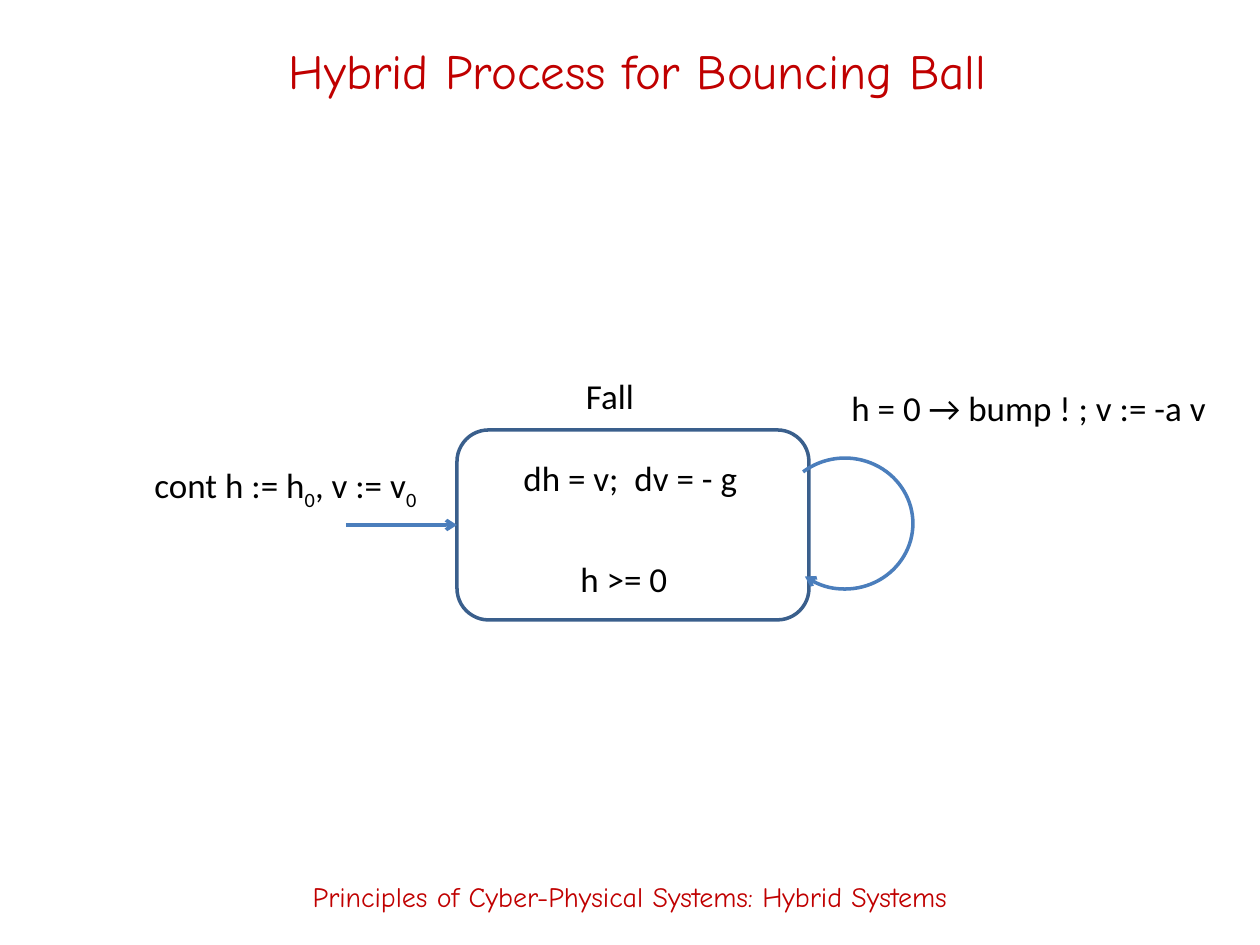
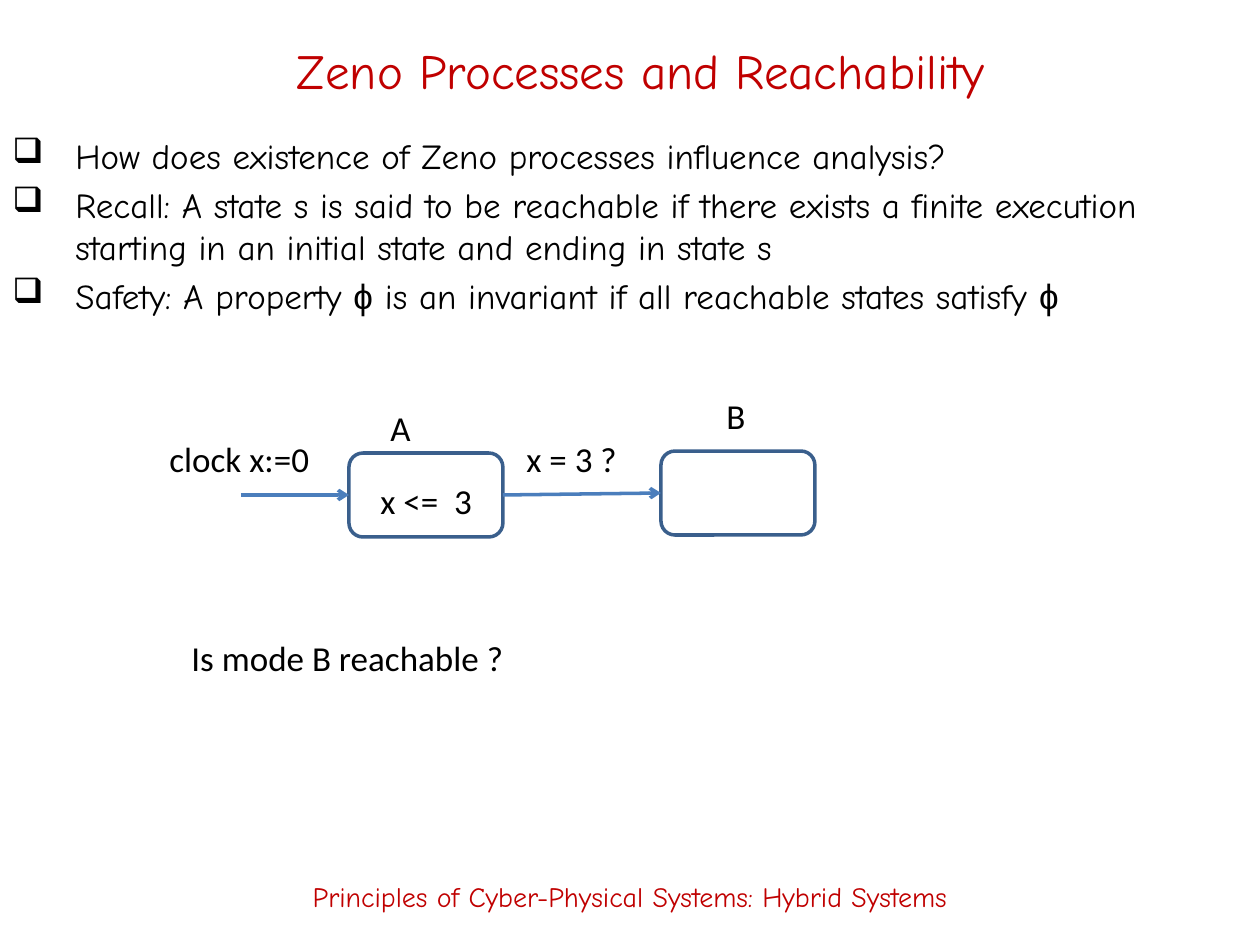
from dataclasses import dataclass

from lxml import etree
from pptx import Presentation
from pptx.dml.color import RGBColor
from pptx.enum.shapes import MSO_CONNECTOR, MSO_SHAPE
from pptx.enum.text import MSO_ANCHOR as Anchor
from pptx.enum.text import MSO_AUTO_SIZE as AutoSize
from pptx.enum.text import PP_ALIGN as Align
from pptx.oxml.ns import qn
from pptx.util import Emu, Pt

PX_PER_INCH = 126
SLIDE_WIDTH, SLIDE_HEIGHT = 1260, 945
FOOTER_TEXT = "Principles of Cyber-Physical Systems: Hybrid Systems"
LEFT_SIDE, RIGHT_SIDE = 1, 3


@dataclass(frozen=True)
class Theme:
    heading: RGBColor = RGBColor(0xC0, 0x00, 0x00)
    ink: RGBColor = RGBColor(0x00, 0x00, 0x00)
    arrow: RGBColor = RGBColor(0x4B, 0x7E, 0xBC)
    mode: RGBColor = RGBColor(0x3A, 0x5F, 0x8C)
    prose_font: str = "Comic Neue"
    label_font: str = "Calibri"
    symbol_font: str = "Arial"
    title_size: Pt = Pt(28)
    text_size: Pt = Pt(20)
    footer_size: Pt = Pt(16)
    line_width: Pt = Pt(2)
    bullet_gap: Pt = Pt(4)


THEME = Theme()
TITLE = {"name": THEME.prose_font, "size": THEME.title_size, "color": THEME.heading}
FOOTER = {**TITLE, "size": THEME.footer_size}
PROSE = {"name": THEME.prose_font, "size": THEME.text_size, "color": THEME.ink}
LABEL = {**PROSE, "name": THEME.label_font}
SYMBOL = {"name": THEME.symbol_font}
SUBSCRIPT = {"baseline": "-25000"}


def px(length):
    return Emu(round(length * 914400 / PX_PER_INCH))


def apply_formats(target, formats):
    for name, value in formats.items():
        setattr(target, name, value)


def add_run(paragraph, text, formats):
    run = paragraph.add_run()
    run.text = text
    for name, value in formats.items():
        if name == "color":
            run.font.color.rgb = value
        elif name == "baseline":
            run._r.get_or_add_rPr().set(name, value)
        else:
            setattr(run.font, name, value)


def fill_paragraph(paragraph, content, base):
    """Write a string, or a list of (text, extra formats) runs."""
    runs = [(content, {})] if isinstance(content, str) else content
    for text, extra in runs:
        add_run(paragraph, text, {**base, **extra})


def add_text_frame(slide, box, **formats):
    shape = slide.shapes.add_textbox(*map(px, box))
    apply_formats(shape.text_frame, formats)
    return shape.text_frame


def add_centred_line(slide, box, text, formats):
    frame = add_text_frame(slide, box, word_wrap=True, vertical_anchor=Anchor.MIDDLE)
    frame.paragraphs[0].alignment = Align.CENTER
    fill_paragraph(frame.paragraphs[0], text, formats)


def add_label(slide, left, top, width, content, alignment=Align.LEFT):
    frame = add_text_frame(slide, (left, top, width, 55), word_wrap=False,
                           auto_size=AutoSize.SHAPE_TO_FIT_TEXT)
    frame.paragraphs[0].alignment = alignment
    fill_paragraph(frame.paragraphs[0], content, LABEL)


def add_bullets(slide, box, items):
    frame = add_text_frame(slide, box, word_wrap=True)
    indent = px(63)
    for index, item in enumerate(items):
        paragraph = frame.add_paragraph() if index else frame.paragraphs[0]
        properties = paragraph._p.get_or_add_pPr()
        properties.set("marL", str(indent))
        properties.set("indent", str(-indent))
        etree.SubElement(properties, qn("a:buChar")).set("char", "❑")
        if index:
            paragraph.space_before = THEME.bullet_gap
        fill_paragraph(paragraph, item, PROSE)


def style_line(line, color, arrowhead=False):
    line.color.rgb = color
    line.width = THEME.line_width
    if arrowhead:
        etree.SubElement(line._get_or_add_ln(), qn("a:tailEnd")).set("type", "arrow")


def add_outline(slide, preset, box, color, arrowhead=False):
    shape = slide.shapes.add_shape(preset, *map(px, box))
    shape.shadow.inherit = False
    shape.fill.background()
    style_line(shape.line, color, arrowhead)
    return shape


def add_mode(slide, *box):
    return add_outline(slide, MSO_SHAPE.ROUNDED_RECTANGLE, box, THEME.mode)


def add_self_loop(slide, box, start_degrees, end_degrees):
    arc = add_outline(slide, MSO_SHAPE.ARC, box, THEME.arrow, arrowhead=True)
    for index, degrees in enumerate((start_degrees, end_degrees)):
        arc.adjustments[index] = degrees * 0.6  # 60000 units a degree, scaled by 100000


def add_transition(slide, target, source=None, start=(0, 0)):
    """Draw an arrow into the left side of target, from source or a free point."""
    x, y = map(px, start)
    arrow = slide.shapes.add_connector(MSO_CONNECTOR.STRAIGHT, x, y, x, y)
    if source is not None:
        arrow.begin_connect(source, RIGHT_SIDE)
    arrow.end_connect(target, LEFT_SIDE)
    style_line(arrow.line, THEME.arrow, arrowhead=True)
    etree.SubElement(arrow._element.spPr, qn("a:effectLst"))


def add_slide(presentation, title, title_left, title_width):
    slide = presentation.slides.add_slide(presentation.slide_layouts[6])
    add_centred_line(slide, (title_left, 21, title_width, 98), title, TITLE)
    add_centred_line(slide, (0, 847, SLIDE_WIDTH, 98), FOOTER_TEXT, FOOTER)
    return slide


def build_bouncing_ball(presentation):
    slide = add_slide(presentation, "Hybrid Process for Bouncing Ball", 97, 1081)
    fall = add_mode(slide, 457, 430, 352, 190)
    add_transition(slide, fall, start=(346, 525))
    add_self_loop(slide, (777, 458, 136, 131), 231, 127)
    add_label(slide, 573, 368, 74, "Fall", Align.CENTER)
    initial_values = [("cont h := h", {}), ("0", SUBSCRIPT),
                      (", v := v", {}), ("0", SUBSCRIPT)]
    for left, top, width, content in (
        (142, 457, 292, initial_values),
        (511, 450, 248, "dh = v;  dv = - g"),
        (568, 551, 113, "h >= 0"),
        (839, 380, 386, "h = 0 → bump ! ; v := -a v"),
    ):
        add_label(slide, left, top, width, content)


def build_zeno(presentation):
    slide = add_slide(presentation, "Zeno Processes and Reachability", 84, 1113)
    add_bullets(slide, (0, 128, 1229, 229), [
        "How does existence of Zeno processes influence analysis?",
        "Recall: A state s is said to be reachable if there exists a finite "
        "execution starting in an initial state and ending in state s",
        [("Safety: A property ", {}), ("ϕ", SYMBOL),
         (" is an invariant if all reachable states satisfy ", {}), ("ϕ", SYMBOL)],
    ])
    mode_a = add_mode(slide, 349, 453, 154, 84)
    mode_b = add_mode(slide, 661, 451, 154, 84)
    add_transition(slide, mode_a, start=(241, 495))
    add_transition(slide, mode_b, source=mode_a)
    for left, top, width, content in (
        (157, 431, 175, "clock x:=0"),
        (368, 473, 117, "x <=  3"),
        (514, 431, 116, "x = 3 ?"),
        (378, 400, 45, "A"),
        (714, 388, 44, "B"),
        (179, 630, 348, "Is mode B reachable ?"),
    ):
        add_label(slide, left, top, width, content)


def main():
    presentation = Presentation()
    presentation.slide_width = px(SLIDE_WIDTH)
    presentation.slide_height = px(SLIDE_HEIGHT)
    build_bouncing_ball(presentation)
    build_zeno(presentation)
    presentation.save("out.pptx")


if __name__ == "__main__":
    main()
